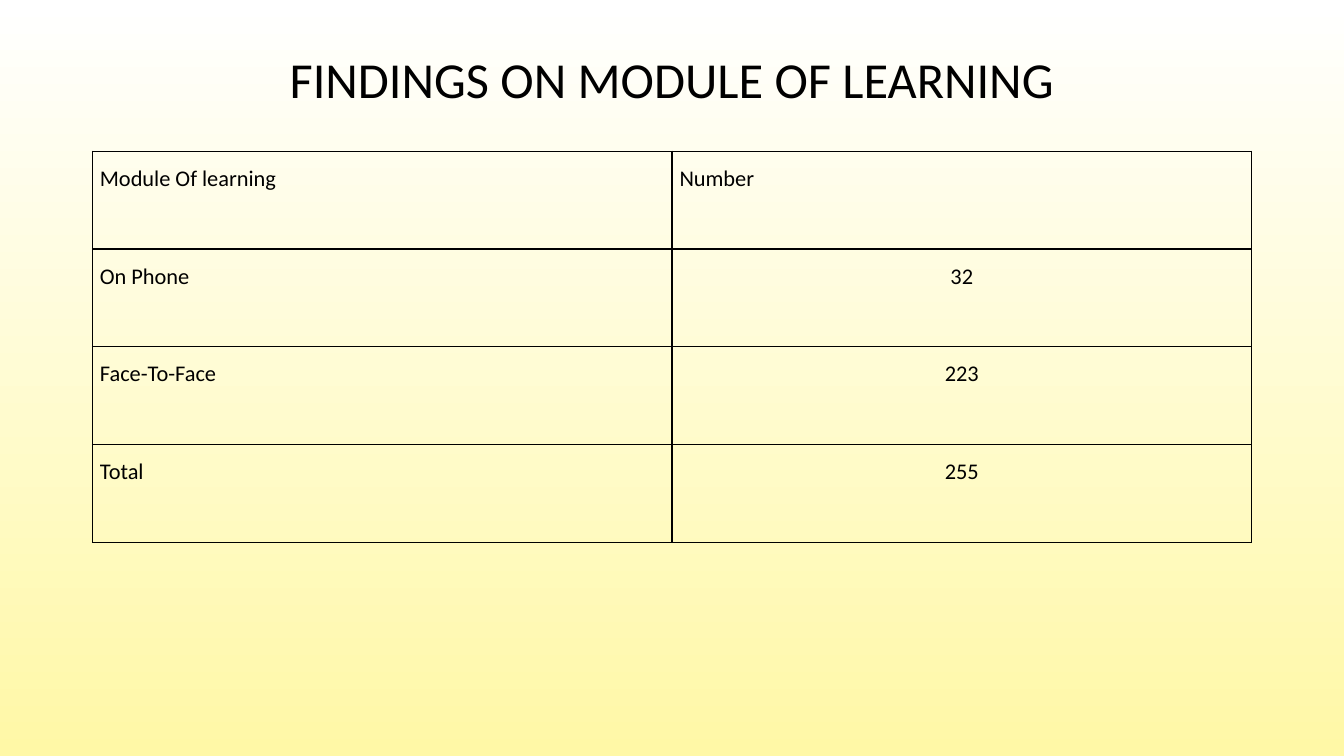
"""Build a slide with a title and a table of learning module findings."""
from lxml import etree
from pptx import Presentation
from pptx.dml.color import RGBColor
from pptx.enum.text import MSO_ANCHOR, PP_ALIGN
from pptx.oxml.ns import qn
from pptx.util import Pt

TITLE = "FINDINGS ON MODULE OF LEARNING"
ROWS = [
    ("Module Of learning", "Number"),
    ("On Phone", "32"),
    ("Face-To-Face", "223"),
    ("Total", "255"),
]

BLACK = RGBColor(0x00, 0x00, 0x00)
WHITE = RGBColor(0xFF, 0xFF, 0xFF)
YELLOW = RGBColor(0xFF, 0xF8, 0xA6)
LEFT, CENTER = PP_ALIGN.LEFT, PP_ALIGN.CENTER
MIDDLE, TOP = MSO_ANCHOR.MIDDLE, MSO_ANCHOR.TOP

PAGE_WIDTH, PAGE_HEIGHT = 960, 540
CONTENT_WIDTH = 828
MARGIN = (PAGE_WIDTH - CONTENT_WIDTH) / 2
TITLE_TOP, TITLE_HEIGHT = 28.75, 60
TABLE_TOP, ROW_HEIGHT = 108, 69.9
BORDER_SIDES = ("a:lnL", "a:lnR", "a:lnT", "a:lnB")

TITLE_FRAME = {"word_wrap": True, "vertical_anchor": MIDDLE}
CELL_FORMAT = {
    "margin_left": Pt(5.4),
    "margin_right": Pt(5.4),
    "margin_top": Pt(0),
    "margin_bottom": Pt(0),
    "vertical_anchor": TOP,
}
TABLE_FORMAT = {"first_row": False, "horz_banding": False}


def apply_format(target, values):
    for name, value in values.items():
        setattr(target, name, value)


def write_text(frame, text, size, alignment, spacing):
    para = frame.paragraphs[0]
    apply_format(para, {"alignment": alignment, "line_spacing": spacing})
    span = para.add_run()
    span.text = text
    apply_format(span.font, {"name": "Calibri", "size": Pt(size), "bold": False})
    span.font.color.rgb = BLACK


def add_borders(cell):
    properties = cell._tc.get_or_add_tcPr()
    for side in BORDER_SIDES:
        line = etree.SubElement(properties, qn(side), w=str(Pt(1)))
        fill = etree.SubElement(line, qn("a:solidFill"))
        etree.SubElement(fill, qn("a:srgbClr"), val=str(BLACK))


def paint_background(page):
    fill = page.background.fill
    fill.gradient()
    fill.gradient_angle = 270
    for stop, color in zip(fill.gradient_stops, (WHITE, YELLOW)):
        stop.color.rgb = color


def add_title(page):
    box = page.shapes.add_textbox(
        Pt(MARGIN), Pt(TITLE_TOP), Pt(CONTENT_WIDTH), Pt(TITLE_HEIGHT))
    apply_format(box.text_frame, TITLE_FRAME)
    write_text(box.text_frame, TITLE, 36, CENTER, 0.9)


def add_findings(page):
    table = page.shapes.add_table(
        len(ROWS), len(ROWS[0]), Pt(MARGIN), Pt(TABLE_TOP),
        Pt(CONTENT_WIDTH), Pt(ROW_HEIGHT * len(ROWS))).table
    apply_format(table, TABLE_FORMAT)
    for row_index, row in enumerate(ROWS):
        for column_index, text in enumerate(row):
            cell = table.cell(row_index, column_index)
            apply_format(cell, CELL_FORMAT)
            add_borders(cell)
            cell.fill.background()
            alignment = CENTER if row_index and column_index else LEFT
            write_text(cell.text_frame, text, 16, alignment, 1.5)


def main():
    deck = Presentation()
    apply_format(deck, {"slide_width": Pt(PAGE_WIDTH), "slide_height": Pt(PAGE_HEIGHT)})
    page = deck.slides.add_slide(deck.slide_layouts[6])
    paint_background(page)
    add_title(page)
    add_findings(page)
    deck.save("out.pptx")


if __name__ == "__main__":
    main()
